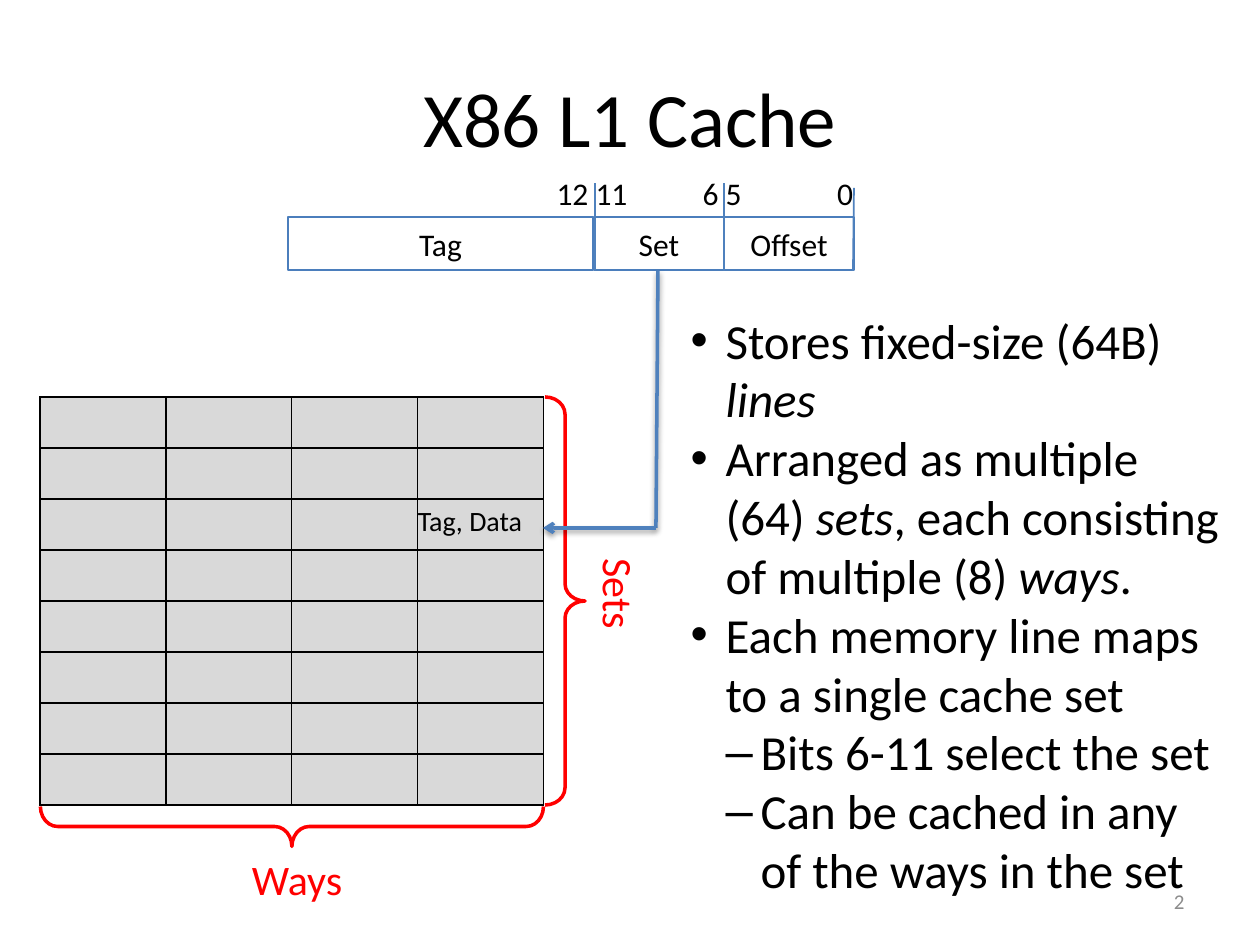
"""Build the X86 L1 Cache slide."""
from lxml.etree import SubElement
from pptx import Presentation
from pptx.dml.color import RGBColor
from pptx.enum.shapes import MSO_CONNECTOR, MSO_SHAPE
from pptx.enum.text import MSO_ANCHOR, PP_ALIGN
from pptx.oxml.ns import qn
from pptx.util import Pt

PIXEL = 914400 // 126
FONT = "Calibri"
COLORS = {"text": "000000", "box": "4B7EBC", "line": "4F81BD", "cell": "D9D9D9",
          "brace": "FF0000", "number": "8C8C8C"}

TITLE = "X86 L1 Cache"
ADDRESS_TOP, ADDRESS_HEIGHT = 217, 53
FIELDS = [("Tag", 288, 305), ("Set", 594, 130), ("Offset", 724, 130)]
BIT_LABELS = [("0", 837, 18, 0), ("6 5", 690, 72, 12.6), ("12 11", 544, 100, 12.6)]
BIT_TICKS = [((853, 271), (854, 188)), ((724, 271), (724, 183)), ((595, 271), (595, 183))]
CACHE_LEFT, CACHE_TOP, WAYS, SETS, CELL_WIDTH, CELL_HEIGHT = 40, 397, 4, 8, 126, 51
ENTRY, ENTRY_ROW, ENTRY_COLUMN = "Tag, Data", 2, 3
BRACES = [((545, 397, 40, 408), 180), ((272, 575, 40, 503), 270)]
BRACE_LABELS = [("Sets", (571, 562, 97, 63), 90), ("Ways", (237, 847, 120, 63), 0)]
SELECT_PATH = [(658, 271), (656, 528), (543, 528)]
INDENT = 35
POINTS = [
    (1, [("Stores fixed-size (64B) ", False), ("lines", True)]),
    (1, [("Arranged as multiple (64) ", False), ("sets", True),
         (", each consisting of multiple (8) ", False), ("ways", True), (".", False)]),
    (1, [("Each memory line maps to a single cache set", False)]),
    (2, [("Bits 6-11 select the set", False)]),
    (2, [("Can be cached in any of the ways in the set", False)]),
]
BULLETS = {1: "•", 2: "–"}


def px(*values):
    return [round(value * PIXEL) for value in values]


def color(name):
    return RGBColor.from_string(COLORS[name])


def write(paragraph, text, size=18, ink="text", align=PP_ALIGN.LEFT, italic=False):
    paragraph.alignment = align
    span = paragraph.add_run()
    span.text = text
    span.font.name, span.font.size, span.font.italic = FONT, Pt(size), italic
    span.font.color.rgb = color(ink)


def add_text(text, place, anchor=MSO_ANCHOR.TOP, wrap=False, inset=12.6, rotation=0, **style):
    box = page.shapes.add_textbox(*px(*place))
    box.rotation = rotation
    frame = box.text_frame
    frame.word_wrap, frame.vertical_anchor = wrap, anchor
    frame.margin_left = frame.margin_right = px(inset)[0]
    if text:
        write(frame.paragraphs[0], text, **style)
    return frame


def add_outline(preset, place, ink, width):
    shape = page.shapes.add_shape(preset, *px(*place))
    shape.shadow.inherit = False
    shape.fill.background()
    shape.line.color.rgb, shape.line.width = color(ink), Pt(width)
    return shape


def add_line(start, end, width=1, shadow=False, arrow=False):
    line = page.shapes.add_connector(MSO_CONNECTOR.STRAIGHT, *px(*start, *end))
    line.line.color.rgb, line.line.width = color("line"), Pt(width)
    if arrow:
        SubElement(line.line._get_or_add_ln(), qn("a:tailEnd"), type="arrow")
    effects = SubElement(line._element.spPr, qn("a:effectLst"))
    if shadow:
        outer = SubElement(effects, qn("a:outerShdw"), blurRad=str(Pt(3.1)), dist=str(Pt(1.6)),
                           dir="5400000", rotWithShape="0")
        black = SubElement(outer, qn("a:srgbClr"), val=COLORS["text"])
        SubElement(black, qn("a:alpha"), val="38000")


def add_borders(cell):
    properties = cell._tc.get_or_add_tcPr()
    for index, side in enumerate(("lnL", "lnR", "lnT", "lnB")):
        border = properties.makeelement(qn("a:" + side), {"w": str(Pt(0.75))})
        fill = SubElement(border, qn("a:solidFill"))
        SubElement(fill, qn("a:srgbClr"), val=COLORS["text"])
        properties.insert(index, border)


def add_cache():
    table = page.shapes.add_table(SETS, WAYS, *px(
        CACHE_LEFT, CACHE_TOP, WAYS * CELL_WIDTH, SETS * CELL_HEIGHT)).table
    table.first_row = table.horz_banding = False
    for column in table.columns:
        column.width = px(CELL_WIDTH)[0]
    for row in table.rows:
        row.height = px(CELL_HEIGHT)[0]
    for cell in table.iter_cells():
        cell.fill.solid()
        cell.fill.fore_color.rgb = color("cell")
        add_borders(cell)
    entry = table.cell(ENTRY_ROW, ENTRY_COLUMN)
    entry.margin_left = entry.margin_right = 0
    write(entry.text_frame.paragraphs[0], ENTRY, size=16)


def add_points():
    frame = add_text("", (678, 304, 559, 606), wrap=True)
    for index, (level, spans) in enumerate(POINTS):
        paragraph = frame.add_paragraph() if index else frame.paragraphs[0]
        paragraph.level = level - 1
        for text, italic in spans:
            write(paragraph, text, size=28, italic=italic)
        properties = paragraph._p.get_or_add_pPr()
        properties.set("marL", str(px(INDENT * level)[0]))
        properties.set("indent", str(px(-INDENT)[0]))
        SubElement(properties, qn("a:buFont"), typeface="Arial")
        SubElement(properties, qn("a:buChar"), char=BULLETS[level])


deck = Presentation()
deck.slide_width, deck.slide_height = px(1260, 945)
page = deck.slides.add_slide(deck.slide_layouts[6])

add_text(TITLE, (63, 38, 1134, 158), MSO_ANCHOR.MIDDLE, True, size=44, align=PP_ALIGN.CENTER)
for name, left, width in FIELDS:
    field = add_outline(MSO_SHAPE.RECTANGLE, (left, ADDRESS_TOP, width, ADDRESS_HEIGHT), "box", 1)
    field.text_frame.vertical_anchor = MSO_ANCHOR.MIDDLE
    write(field.text_frame.paragraphs[0], name, align=PP_ALIGN.CENTER)
for label, left, width, inset in BIT_LABELS:
    add_text(label, (left, 168, width, 50), inset=inset)
for start, end in BIT_TICKS:
    add_line(start, end)
add_cache()
for place, rotation in BRACES:
    brace = add_outline(MSO_SHAPE.LEFT_BRACE, place, "brace", 2)
    brace.rotation = rotation
    brace.adjustments[0] = 0.43
for label, place, rotation in BRACE_LABELS:
    add_text(label, place, rotation=rotation, size=24, ink="brace", align=PP_ALIGN.CENTER)
for start, end in zip(SELECT_PATH, SELECT_PATH[1:]):
    add_line(start, end, width=2, shadow=True, arrow=end == SELECT_PATH[-1])
add_points()
add_text("2", (903, 876, 294, 50), MSO_ANCHOR.MIDDLE, True,
         size=12, ink="number", align=PP_ALIGN.RIGHT)

deck.save("out.pptx")
